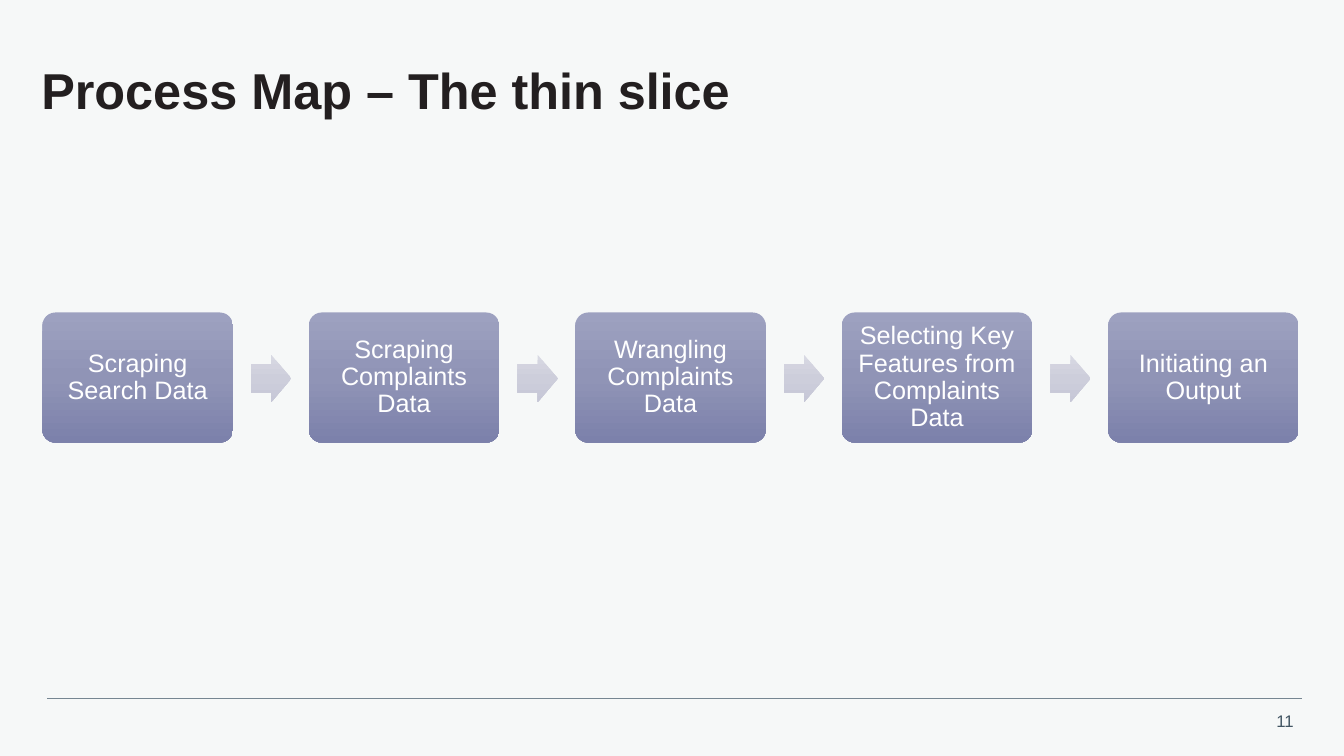
from copy import deepcopy

from lxml.etree import SubElement
from pptx import Presentation
from pptx.dml.color import RGBColor
from pptx.enum.shapes import MSO_CONNECTOR, MSO_SHAPE
from pptx.enum.text import MSO_ANCHOR, PP_ALIGN
from pptx.oxml.ns import qn
from pptx.util import Inches, Pt

BACKGROUND = RGBColor(0xF6, 0xF8, 0xF8)
INK = RGBColor(0x23, 0x1F, 0x20)
SLATE = RGBColor(0x42, 0x55, 0x63)
RULE = RGBColor(0x76, 0x86, 0x92)
WHITE = RGBColor(0xFF, 0xFF, 0xFF)
STEP_SHADES = (
    RGBColor(0x9D, 0xA1, 0xC0),
    RGBColor(0x90, 0x94, 0xB6),
    RGBColor(0x7C, 0x81, 0xAB),
)
ARROW_SHADES = (
    RGBColor(0xD8, 0xD9, 0xE3),
    RGBColor(0xCD, 0xCE, 0xDB),
    RGBColor(0xC6, 0xC7, 0xD7),
)

STEPS = (
    "Scraping Search Data",
    "Scraping Complaints Data",
    "Wrangling Complaints Data",
    "Selecting Key Features from Complaints Data",
    "Initiating an Output",
)
FIRST_STEP_LEFT = 0.42
LAST_STEP_LEFT = 10.99
STEP_PITCH = (LAST_STEP_LEFT - FIRST_STEP_LEFT) / (len(STEPS) - 1)
ARROW_OFFSET = 2.07


def apply_format(target, values):
    for name, value in values.items():
        setattr(target, name, value)


class SlideBuilder:
    font_name = "Arial"

    def __init__(self, deck):
        self.slide = deck.slides.add_slide(deck.slide_layouts[6])
        background = self.slide.background.fill
        background.solid()
        background.fore_color.rgb = BACKGROUND

    def add_text(self, shape, text, size, color, inset, frame_format, para_format, bold=False):
        frame = shape.text_frame
        sides = ("margin_left", "margin_top", "margin_right", "margin_bottom")
        apply_format(frame, dict.fromkeys(sides, Inches(inset)))
        apply_format(frame, frame_format)
        para = frame.paragraphs[0]
        apply_format(para, para_format)
        span = para.add_run()
        span.text = text
        apply_format(span.font, {"name": self.font_name, "size": Pt(size), "bold": bold})
        span.font.color.rgb = color

    def text_box(self, bounds, *content, **options):
        box = self.slide.shapes.add_textbox(*map(Inches, bounds))
        self.add_text(box, *content, **options)

    def line(self, left, right, top):
        line = self.slide.shapes.add_connector(
            MSO_CONNECTOR.STRAIGHT, Inches(left), Inches(top), Inches(right), Inches(top)
        )
        line.line.color.rgb = RULE
        line.line.width = Pt(0.5)
        SubElement(line._element.spPr, qn("a:effectLst"))

    def gradient_shape(self, kind, bounds, adjustments, shades):
        shape = self.slide.shapes.add_shape(kind, *map(Inches, bounds))
        for index, value in enumerate(adjustments):
            shape.adjustments[index] = value
        shape.shadow.inherit = False
        shape.line.fill.background()
        shape.fill.gradient()
        shape.fill.gradient_angle = 270
        stop_list = shape._element.spPr.find(".//" + qn("a:gsLst"))
        stop_list.insert(1, deepcopy(stop_list[0]))
        for stop, position, shade in zip(shape.fill.gradient_stops, (0, 0.5, 1), shades):
            stop.position = position
            stop.color.rgb = shade
        return shape

    def step(self, left, text):
        box = self.gradient_shape(
            MSO_SHAPE.ROUNDED_RECTANGLE, (left, 3.1, 1.89, 1.29), (0.1,), STEP_SHADES
        )
        self.add_text(
            box, text, 18, WHITE, 0.07,
            {"word_wrap": True, "vertical_anchor": MSO_ANCHOR.MIDDLE},
            {"alignment": PP_ALIGN.CENTER, "line_spacing": 0.9},
        )

    def arrow(self, left):
        self.gradient_shape(
            MSO_SHAPE.RIGHT_ARROW, (left, 3.52, 0.4, 0.47), (0.6, 0.5), ARROW_SHADES
        )


def main():
    deck = Presentation()
    apply_format(deck, {"slide_width": Inches(13.33), "slide_height": Inches(7.5)})
    page = SlideBuilder(deck)
    page.text_box(
        (12.52, 7, 0.41, 0.3), "11", 12, SLATE, 0.1,
        {"word_wrap": False, "margin_top": Inches(0.05), "margin_bottom": Inches(0.05)},
        {"alignment": PP_ALIGN.RIGHT},
    )
    page.line(0.47, 12.91, 6.93)
    page.text_box(
        (0.41, 0.45, 12.47, 0.95), "Process Map – The thin slice", 36, INK, 0,
        {"word_wrap": True, "vertical_anchor": MSO_ANCHOR.MIDDLE},
        {"line_spacing": 0.9}, bold=True,
    )
    for index, text in enumerate(STEPS):
        left = FIRST_STEP_LEFT + index * STEP_PITCH
        page.step(left, text)
        if index < len(STEPS) - 1:
            page.arrow(left + ARROW_OFFSET)
    deck.save("out.pptx")


if __name__ == "__main__":
    main()
